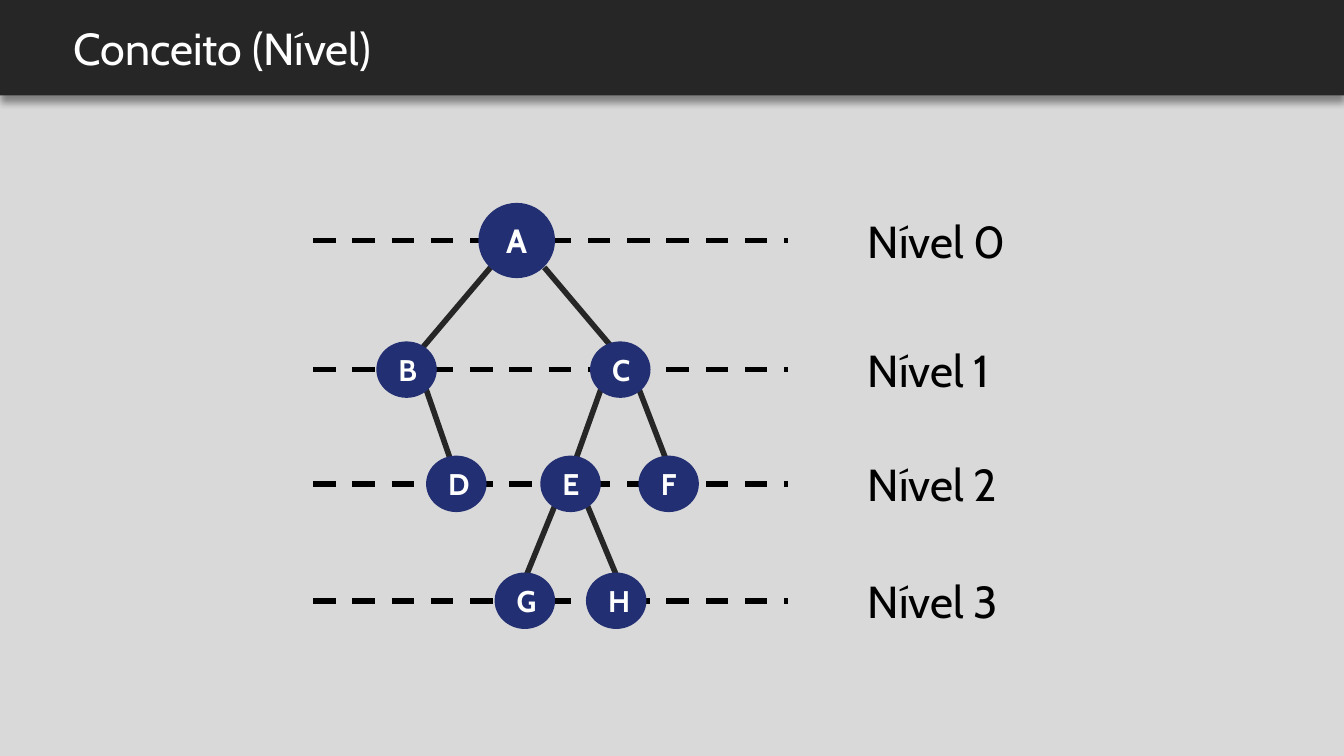
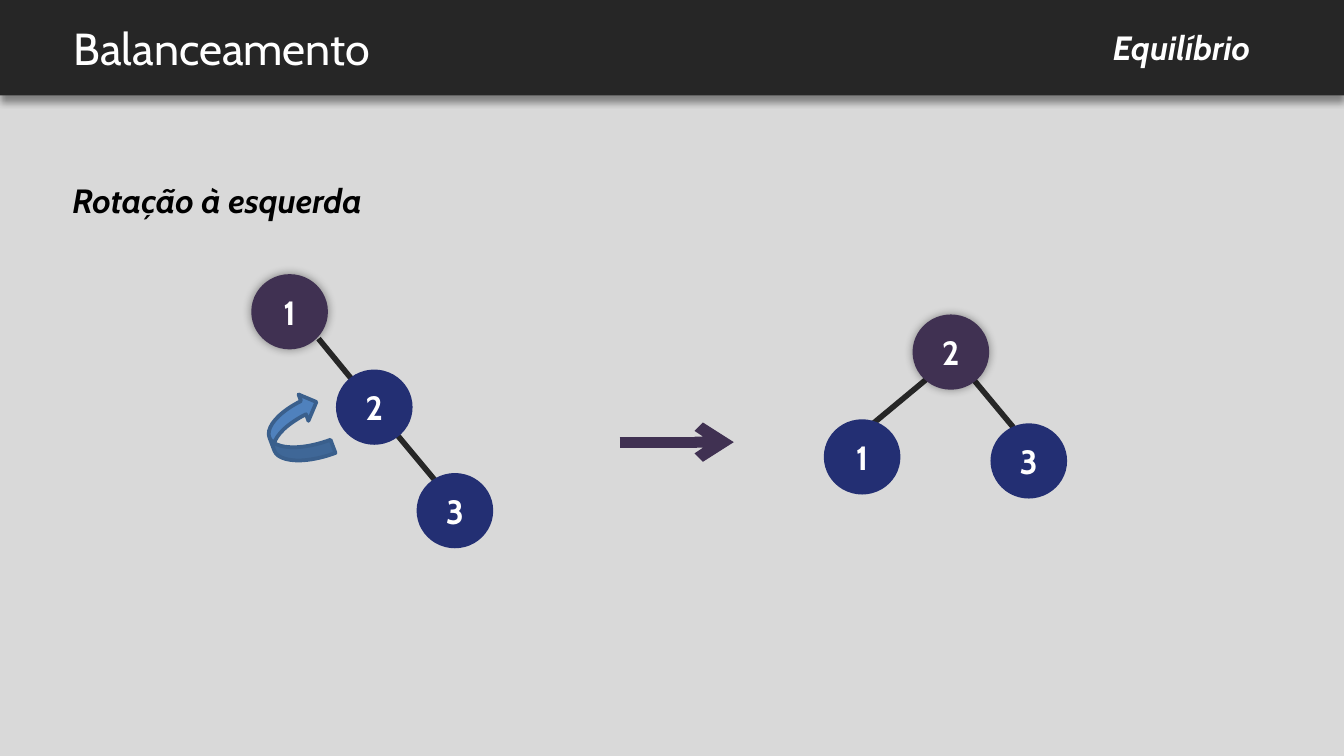
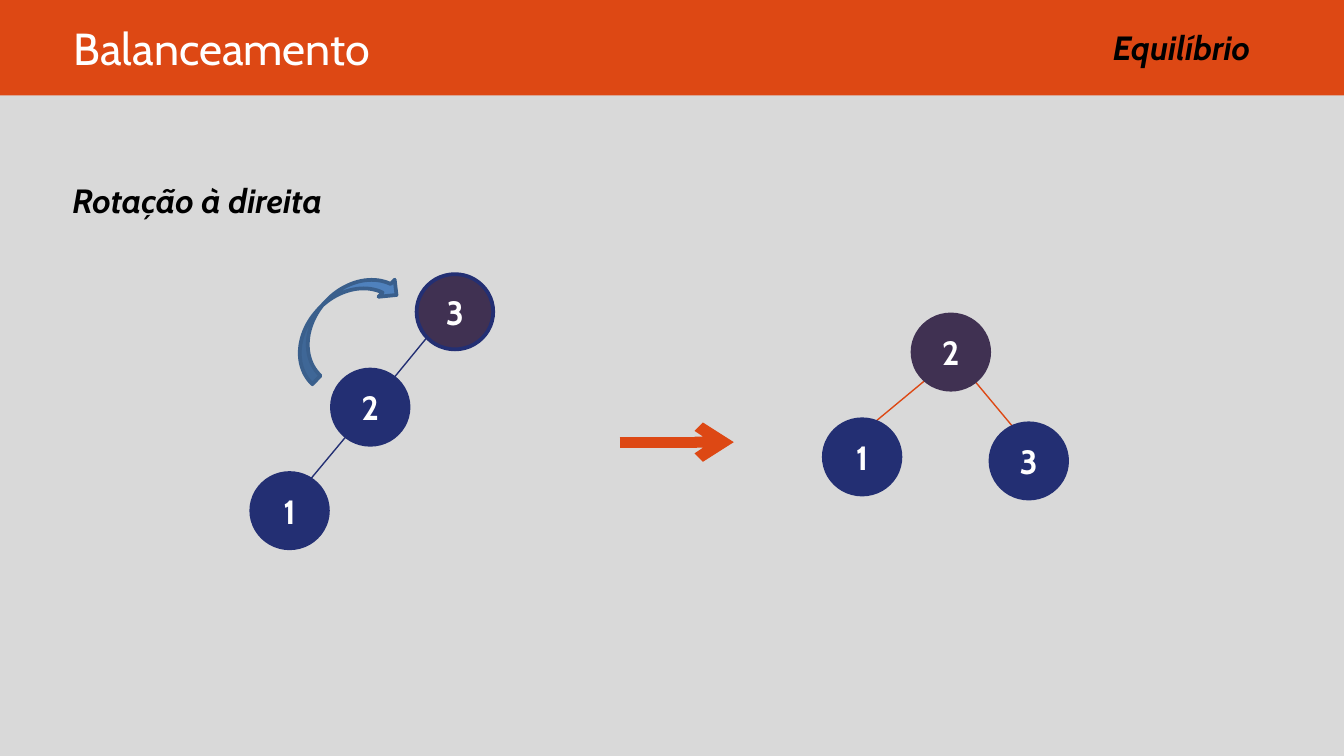
from lxml import etree
from pptx import Presentation
from pptx.dml.color import RGBColor
from pptx.enum.dml import MSO_LINE
from pptx.enum.shapes import MSO_CONNECTOR, MSO_SHAPE
from pptx.enum.text import MSO_ANCHOR as Anchor, MSO_AUTO_SIZE as AutoSize, PP_ALIGN as Align
from pptx.oxml.ns import qn
from pptx.util import Inches, Pt

BACKGROUND = RGBColor(0xD9, 0xD9, 0xD9)
BLACK = RGBColor(0x00, 0x00, 0x00)
WHITE = RGBColor(0xFF, 0xFF, 0xFF)
CHARCOAL = RGBColor(0x26, 0x26, 0x26)
NAVY = RGBColor(0x23, 0x2F, 0x73)
PLUM = RGBColor(0x40, 0x31, 0x52)
ORANGE = RGBColor(0xDD, 0x48, 0x14)
BLUE = RGBColor(0x4F, 0x81, 0xBD)
DARK_BLUE = RGBColor(0x3A, 0x5F, 0x8C)

FONT = "Cabin"
GRID_COLUMNS = 100  # cells are square, so rows have the same size
BAND_ROWS = 7.1
LARGE_NODE = (5.7, 5.6)
SMALL_NODE = (4.5, 4.2)
MIRROR_SUM = 55.4  # a column and its mirrored column add up to this

# Level tree: row of each level, then label -> (centre column, level)
LEVEL_ROWS = [17.9, 27.5, 36, 44.7]
LEVEL_NODES = {
    "A": (38.45, 0), "B": (30.25, 1), "C": (46.15, 1), "D": (33.95, 2),
    "E": (42.45, 2), "F": (49.75, 2), "G": (39.05, 3), "H": (45.85, 3),
}
LEVEL_EDGES = [
    (36.5, 19.9, 30.4, 27.1), (40.5, 19.9, 46.6, 27.1),
    (45.2, 27.6, 42.3, 35.7), (47.1, 27.8, 50.1, 35.6),
    (31.2, 27.5, 34, 35.6), (41.7, 36.6, 38.6, 44.2),
    (43.2, 36.4, 46.4, 44.1),
]

# Rotation trees: centres of the nodes from the root down, and edges
CHAIN_CENTRES = [(21.55, 23.2), (27.85, 30.3), (33.85, 38)]
CHAIN_EDGES = [(23.7, 25.2, 29.6, 32.4), (26.5, 28.7, 32.5, 35.9)]
BALANCED_CENTRES = [(70.75, 26.2), (64.15, 34), (76.55, 34.3)]
BALANCED_EDGES = [(63.9, 32.4, 71, 26.5), (69.4, 24.6, 75.4, 31.8)]


def add_shadow(shape, blur, distance=0, angle=0):
    effects = shape.element.spPr.get_or_add_effectLst() if hasattr(
        shape.element.spPr, "get_or_add_effectLst") else shape.element.spPr.find(qn("a:effectLst"))
    shadow = etree.SubElement(effects, qn("a:outerShdw"), blurRad=str(Pt(blur)),
                              dist=str(Pt(distance)), dir=str(angle * 60000),
                              algn="ctr", rotWithShape="0")
    color = etree.SubElement(shadow, qn("a:srgbClr"), val=str(BLACK))
    etree.SubElement(color, qn("a:alpha"), val="40000")


def write(shape, text, size=18, color=WHITE, bold=False, italic=False,
          align=Align.LEFT, anchor=Anchor.MIDDLE):
    frame = shape.text_frame
    frame.word_wrap = True
    frame.vertical_anchor = anchor
    paragraph = frame.paragraphs[0]
    paragraph.alignment = align
    run = paragraph.add_run()
    run.text = text
    font = run.font
    font.name, font.size, font.color.rgb = FONT, Pt(size), color
    font.bold, font.italic = bold, italic


def mirror_points(centres):
    return [(MIRROR_SUM - column, row) for column, row in centres]


def mirror_edges(edges):
    return [(MIRROR_SUM - x1, y1, MIRROR_SUM - x2, y2) for x1, y1, x2, y2 in edges]


class Deck:
    def __init__(self):
        self.presentation = Presentation()
        self.presentation.slide_width = Inches(10)
        self.presentation.slide_height = Inches(10 * 9 / 16)
        self.cell = self.presentation.slide_width / GRID_COLUMNS
        self.slide = None

    def grid(self, *cells):
        return [round(value * self.cell) for value in cells]

    def new_slide(self):
        self.slide = self.presentation.slides.add_slide(self.presentation.slide_layouts[6])
        fill = self.slide.background.fill
        fill.solid()
        fill.fore_color.rgb = BACKGROUND

    def shape(self, preset, box, fill, line=None, shapes=None):
        shape = (shapes or self.slide.shapes).add_shape(preset, *self.grid(*box))
        shape.shadow.inherit = False
        shape.fill.solid()
        shape.fill.fore_color.rgb = fill
        if line is None:
            shape.line.fill.background()
        else:
            shape.line.color.rgb = line
            shape.line.width = Pt(2)
        return shape

    def line(self, ends, color, width=3, shapes=None):
        connector = (shapes or self.slide.shapes).add_connector(
            MSO_CONNECTOR.STRAIGHT, *self.grid(*ends))
        connector.line.color.rgb = color
        connector.line.width = Pt(width)
        etree.SubElement(connector.element.spPr, qn("a:effectLst"))
        return connector

    def node(self, label, centre, size=LARGE_NODE, fill=NAVY, line=None, shapes=None):
        (column, row), (width, height) = centre, size
        box = (column - width / 2, row - height / 2, width, height)
        shape = self.shape(MSO_SHAPE.OVAL, box, fill, line, shapes)
        write(shape, label, size=18 if size == LARGE_NODE else 16,
              bold=True, align=Align.CENTER)
        return shape

    def text(self, text, box, **style):
        """Text box with equal insets, centred vertically."""
        shape = self.slide.shapes.add_textbox(*self.grid(*box))
        frame = shape.text_frame
        frame.margin_left = frame.margin_right = Inches(0.1)
        frame.margin_top = frame.margin_bottom = Inches(0.1)
        write(shape, text, size=24, **style)

    def caption(self, text, left, top, **style):
        """Bold italic text box that grows with its text."""
        shape = self.slide.shapes.add_textbox(*self.grid(left, top, 26.1, 4))
        write(shape, text, bold=True, italic=True, anchor=Anchor.TOP, **style)
        shape.text_frame.auto_size = AutoSize.SHAPE_TO_FIT_TEXT

    def header(self, title, fill=CHARCOAL, shadow=True):
        band = self.shape(MSO_SHAPE.RECTANGLE, (0, 0, GRID_COLUMNS, BAND_ROWS), fill)
        if shadow:
            add_shadow(band, blur=4, distance=3, angle=90)
        self.text(title, (4.5, 0, 90.5, BAND_ROWS))

    def tree(self, labels, centres, edges, edge_color, edge_width,
             root_line=None, node_line=None, root_shadow=False):
        """Grouped tree whose first node is the root."""
        shapes = self.slide.shapes.add_group_shape().shapes
        for ends in edges:
            self.line(ends, edge_color, edge_width, shapes)
        root, *others = zip(labels, centres)
        root_shape = self.node(*root, fill=PLUM, line=root_line, shapes=shapes)
        if root_shadow:
            add_shadow(root_shape, blur=5)
        for label, centre in others:
            self.node(label, centre, line=node_line, shapes=shapes)

    def step_arrow(self, color):
        arrow = self.line((46.1, 32.9, 54.6, 32.9), color, width=6)
        etree.SubElement(arrow.line._get_or_add_ln(), qn("a:tailEnd"), type="arrow")

    def turn_arrow(self, preset, box, rotation):
        self.shape(preset, box, BLUE, DARK_BLUE).rotation = rotation


def add_levels(deck):
    deck.new_slide()
    for row in LEVEL_ROWS:
        deck.line((23.3, row, 58.6, row), BLACK).line.dash_style = MSO_LINE.DASH
    for ends in LEVEL_EDGES:
        deck.line(ends, CHARCOAL)
    for label, (column, level) in LEVEL_NODES.items():
        deck.node(label, (column, LEVEL_ROWS[level]),
                  size=SMALL_NODE if level else LARGE_NODE)
    for level, row in enumerate(LEVEL_ROWS):
        deck.text(f"Nível {level}", (63.6, row - 2.6, 13.1, 5.2), color=BLACK)
    deck.header("Conceito (Nível)")


def add_left_rotation(deck):
    deck.new_slide()
    style = dict(edge_color=CHARCOAL, edge_width=3, root_shadow=True)
    deck.tree("123", CHAIN_CENTRES, CHAIN_EDGES, **style)
    deck.tree("213", BALANCED_CENTRES, BALANCED_EDGES, **style)
    deck.caption("Rotação à esquerda", 4.4, 12.9, color=BLACK)
    deck.step_arrow(PLUM)
    deck.header("Balanceamento")
    deck.caption("Equilíbrio", 67.9, 1.5, align=Align.RIGHT)
    deck.turn_arrow(MSO_SHAPE.CURVED_LEFT_ARROW, (20, 29.5, 4.2, 5.1), 159.5)


def add_right_rotation(deck):
    deck.new_slide()
    deck.header("Balanceamento", fill=ORANGE, shadow=False)
    deck.caption("Equilíbrio", 67.9, 1.5, color=BLACK, align=Align.RIGHT)
    style = dict(edge_width=0.75, node_line=NAVY)
    deck.tree("321", mirror_points(CHAIN_CENTRES), mirror_edges(CHAIN_EDGES),
              edge_color=NAVY, root_line=NAVY, **style)
    deck.tree("213", BALANCED_CENTRES, BALANCED_EDGES,
              edge_color=ORANGE, root_line=PLUM, **style)
    deck.caption("Rotação à direita", 4.4, 12.9, color=BLACK)
    deck.step_arrow(ORANGE)
    deck.turn_arrow(MSO_SHAPE.CURVED_DOWN_ARROW, (20.4, 22, 10, 3.5), 313.3)


def main():
    deck = Deck()
    add_levels(deck)
    add_left_rotation(deck)
    add_right_rotation(deck)
    deck.presentation.save("out.pptx")


if __name__ == "__main__":
    main()
